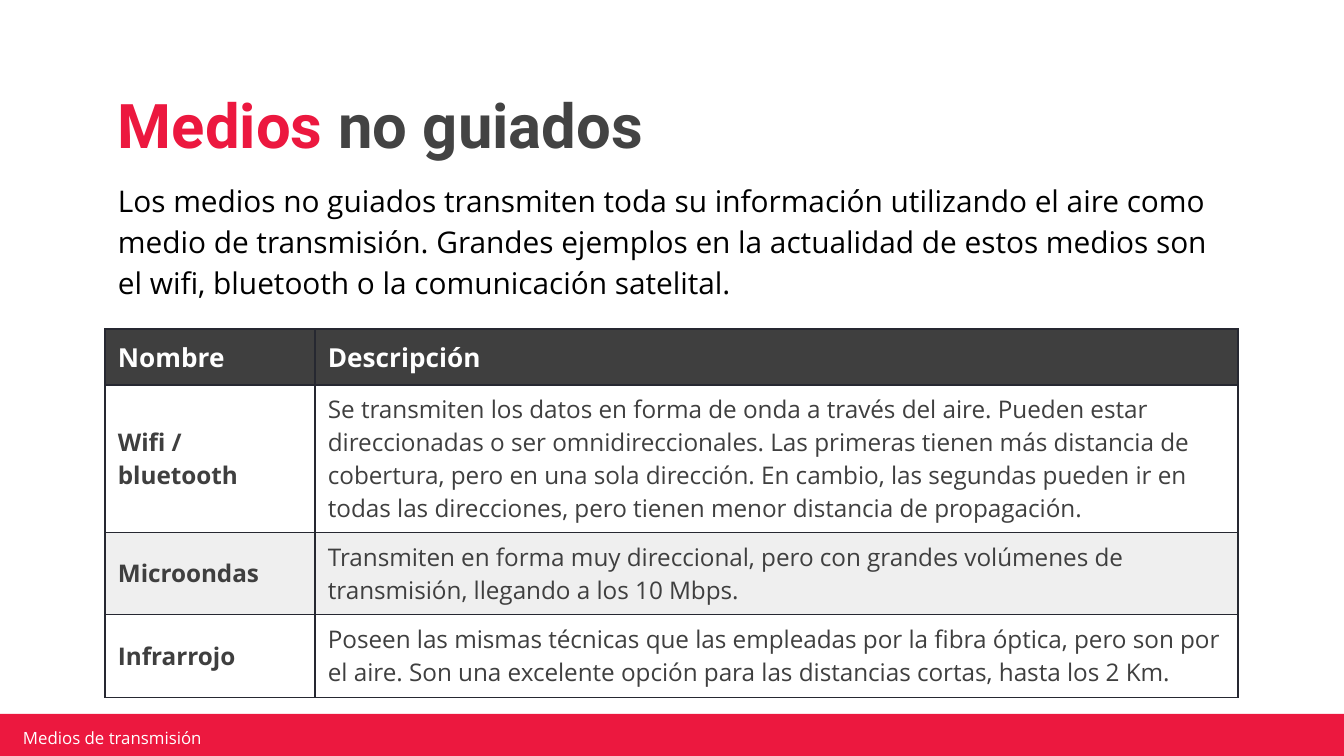
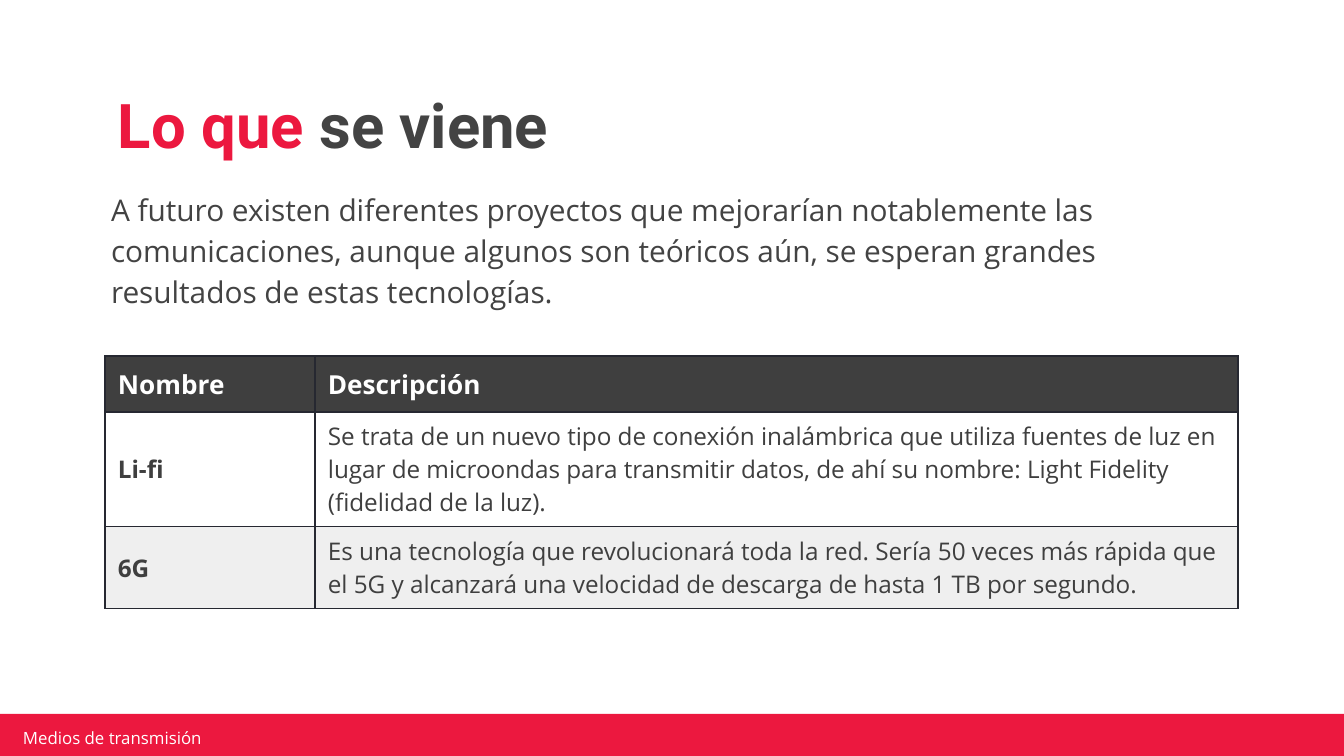
from dataclasses import dataclass

from lxml import etree
from pptx import Presentation
from pptx.dml.color import RGBColor
from pptx.enum.shapes import MSO_SHAPE
from pptx.enum.text import MSO_ANCHOR, MSO_AUTO_SIZE, PP_ALIGN
from pptx.oxml.ns import qn
from pptx.util import Emu, Pt

RECTANGLE = MSO_SHAPE.RECTANGLE
TOP, MIDDLE, BOTTOM = MSO_ANCHOR.TOP, MSO_ANCHOR.MIDDLE, MSO_ANCHOR.BOTTOM
LEFT = PP_ALIGN.LEFT
NO_AUTOFIT = MSO_AUTO_SIZE.NONE
TITLE_AND_CONTENT = 1
EMU_PER_PIXEL = 914400 / 134.4


@dataclass(frozen=True)
class Theme:
    """Colours, fonts and type sizes of the deck."""
    accent: str = "EC183F"
    heading: str = "434343"
    dark: str = "3F3F3F"
    stripe: str = "EFEFEF"
    border: str = "262831"
    white: str = "FFFFFF"
    black: str = "000000"
    title_font: str = "Roboto"
    text_font: str = "Open Sans"
    title_size: int = 33
    body_size: int = 16
    header_size: int = 14
    cell_size: int = 13
    footer_size: int = 9
    border_width: float = 0.75


def px(value):
    """Turn pixels into EMU."""
    return Emu(round(value * EMU_PER_PIXEL))


def set_all(target, values):
    """Set every attribute named in a dict."""
    for name, value in values.items():
        setattr(target, name, value)


class Slides:
    """Holds the deck, its theme and the current page."""

    def __init__(self, theme, footer):
        """Start a deck whose pages share one footer."""
        self.theme, self.footer = theme, footer
        self.deck = Presentation()
        set_all(self.deck, {"slide_width": px(1344), "slide_height": px(756)})
        self.page = None

    def new_page(self):
        """Add a page with the footer band."""
        layout = self.deck.slide_layouts[TITLE_AND_CONTENT]
        self.page = self.deck.slides.add_slide(layout)
        self.band()

    def place(self, shape, left, top, width, height):
        """Move and size a shape."""
        set_all(shape, {"left": px(left), "top": px(top),
                        "width": px(width), "height": px(height)})

    def frame(self, frame, anchor, side, edge):
        """Set anchor, wrapping and insets of a text frame."""
        set_all(frame, {"word_wrap": True, "auto_size": NO_AUTOFIT, "vertical_anchor": anchor,
                        "margin_left": px(side), "margin_right": px(side),
                        "margin_top": px(edge), "margin_bottom": px(edge)})

    def span(self, para, text, size, color, bold=False, font=None):
        """Add one formatted run of text."""
        para.alignment = LEFT
        span = para.add_run()
        span.text = text
        set_all(span.font, {"size": Pt(size), "bold": bold,
                            "name": font or self.theme.text_font})
        span.font.color.rgb = RGBColor.from_string(color)

    def band(self):
        """Draw the footer band and its text."""
        theme = self.theme
        bar = self.page.shapes.add_shape(RECTANGLE, px(-3), px(714), px(1348), px(48))
        bar.shadow.inherit = False
        bar.fill.solid()
        bar.fill.fore_color.rgb = RGBColor.from_string(theme.accent)
        bar.line.fill.background()
        box = self.page.shapes.add_textbox(px(16), px(728), px(321), px(20))
        self.frame(box.text_frame, MIDDLE, 7, 3)
        self.span(box.text_frame.paragraphs[0], self.footer, theme.footer_size, theme.white)

    def title(self, accented, rest):
        """Write a title whose first words take the accent colour."""
        theme = self.theme
        box = self.page.shapes.title
        self.place(box, 105, 81, 1133, 93)
        self.frame(box.text_frame, BOTTOM, 13, 13)
        para = box.text_frame.paragraphs[0]
        for text, color in ((accented + " ", theme.accent), (rest, theme.heading)):
            self.span(para, text, theme.title_size, color, True, theme.title_font)

    def body(self, left, top, text, color):
        """Write the introduction without a bullet."""
        box = self.page.placeholders[1]
        self.place(box, left, top, 1146, 142)
        self.frame(box.text_frame, TOP, 13, 13)
        para = box.text_frame.paragraphs[0]
        set_all(para, {"line_spacing": 1.15, "space_before": Pt(6)})
        self.span(para, text, self.theme.body_size, color)
        properties = para._p.get_or_add_pPr()
        properties.set("marL", "0")
        properties.set("indent", "0")
        etree.SubElement(properties, qn("a:buNone"))

    def borders(self, cell):
        """Draw a thin line on the four sides of a cell."""
        properties = cell._tc.get_or_add_tcPr()
        for index, side in enumerate(("a:lnL", "a:lnR", "a:lnT", "a:lnB")):
            line = etree.Element(qn(side), w=str(Pt(self.theme.border_width)))
            fill = etree.SubElement(line, qn("a:solidFill"))
            etree.SubElement(fill, qn("a:srgbClr"), val=self.theme.border)
            properties.insert(index, line)

    def cell(self, cell, text, size, color, bold, fill):
        """Fill in and format one table cell."""
        set_all(cell, {"vertical_anchor": MIDDLE, "margin_left": px(13), "margin_right": px(13),
                       "margin_top": px(8), "margin_bottom": px(8)})
        if fill:
            cell.fill.solid()
            cell.fill.fore_color.rgb = RGBColor.from_string(fill)
        else:
            cell.fill.background()
        self.borders(cell)
        self.span(cell.text_frame.paragraphs[0], text, size, color, bold)

    def table(self, top, entries, heights):
        """Draw names and descriptions under a dark header row."""
        theme = self.theme
        rows = [("Nombre", "Descripción"), *entries]
        widths = (210, 923)
        table = self.page.shapes.add_table(len(rows), len(widths), px(105), px(top),
                                           px(sum(widths)), px(sum(heights))).table
        set_all(table, {"first_row": False, "horz_banding": False})
        for column, width in zip(table.columns, widths):
            column.width = px(width)
        for index, (texts, height) in enumerate(zip(rows, heights)):
            table.rows[index].height = px(height)
            header = index == 0
            size = theme.header_size if header else theme.cell_size
            color = theme.white if header else theme.dark
            fill = theme.dark if header else (None if index % 2 else theme.stripe)
            for column, text in enumerate(texts):
                self.cell(table.cell(index, column), text, size, color,
                          header or column == 0, fill)


def main():
    """Build both pages and save the deck."""
    theme = Theme()
    slides = Slides(theme, "Medios de transmisión")

    slides.new_page()
    slides.title("Medios", "no guiados")
    slides.body(105, 164, "Los medios no guiados transmiten toda su información utilizando el "
                "aire como medio de transmisión. Grandes ejemplos en la actualidad de estos "
                "medios son el wifi, bluetooth o la comunicación satelital.", theme.black)
    slides.table(329, [
        ("Wifi / bluetooth",
         "Se transmiten los datos en forma de onda a través del aire. Pueden estar "
         "direccionadas o ser omnidireccionales. Las primeras tienen más distancia de "
         "cobertura, pero en una sola dirección. En cambio, las segundas pueden ir en "
         "todas las direcciones, pero tienen menor distancia de propagación."),
        ("Microondas",
         "Transmiten en forma muy direccional, pero con grandes volúmenes de transmisión, "
         "llegando a los 10 Mbps."),
        ("Infrarrojo",
         "Poseen las mismas técnicas que las empleadas por la fibra óptica, pero son por "
         "el aire. Son una excelente opción para las distancias cortas, hasta los 2 Km."),
    ], (56, 56, 56, 83))

    slides.new_page()
    slides.title("Lo que", "se viene")
    slides.body(98, 173, "A futuro existen diferentes proyectos que mejorarían notablemente las "
                "comunicaciones, aunque algunos son teóricos aún, se esperan grandes "
                "resultados de estas tecnologías.", theme.heading)
    slides.table(356, [
        ("Li-fi",
         "Se trata de un nuevo tipo de conexión inalámbrica que utiliza fuentes de luz en "
         "lugar de microondas para transmitir datos, de ahí su nombre: Light Fidelity "
         "(fidelidad de la luz)."),
        ("6G",
         "Es una tecnología que revolucionará toda la red. Sería 50 veces más rápida que "
         "el 5G y alcanzará una velocidad de descarga de hasta 1 TB por segundo."),
    ], (56, 56, 56))

    slides.deck.save("out.pptx")


main()
